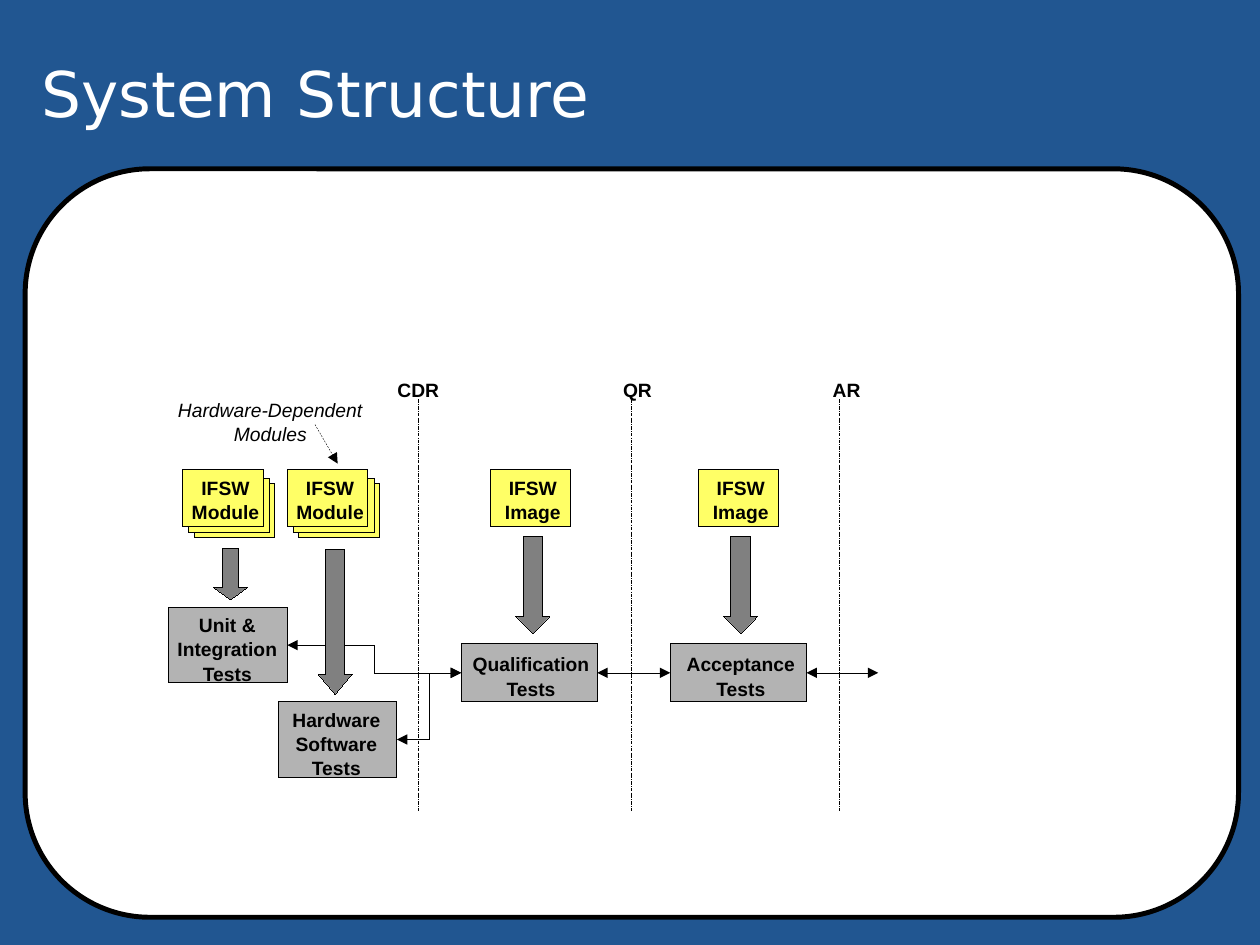
from lxml.etree import SubElement
from pptx import Presentation
from pptx.dml.color import RGBColor
from pptx.enum.dml import MSO_LINE_DASH_STYLE as Dash
from pptx.enum.shapes import MSO_CONNECTOR as Link, MSO_SHAPE as Shape
from pptx.enum.text import MSO_ANCHOR as Anchor, MSO_AUTO_SIZE as AutoSize, PP_ALIGN as Align
from pptx.oxml.ns import qn
from pptx.util import Inches, Pt

COLORS = {"back": "215691", "white": "FFFFFF", "black": "000000",
          "yellow": "FFFF66", "gray": "B3B3B3", "arrow": "808080"}
HAIRLINE = 0.01  # a width of 0 would fall back to the theme's line

# Content: positions and sizes in inches
TITLE = "System Structure"
CARD_TOP, CARD_WIDTH, CARD_HEIGHT = 3.73, 0.64, 0.45
STACK = [(0.09, 0.11, 0.43), (0.05, 0.07, 0.43)]  # right, down, height
CARDS = [  # text, left, stacked, label width
    ("IFSW\nModule", 1.45, True, 0.54),
    ("IFSW\nModule", 2.28, True, 0.54),
    ("IFSW\nImage", 3.89, False, 0.46),
    ("IFSW\nImage", 5.54, False, 0.46),
]
TESTS = {  # text, box, label left, top and width
    "unit": ("Unit &\nIntegration\nTests", (1.34, 4.82, 0.94, 0.6), (1.41, 4.86, 0.79)),
    "hardware": ("Hardware\nSoftware\nTests", (2.21, 5.57, 0.94, 0.6), (2.32, 5.61, 0.7)),
    "qualification": ("Qualification\nTests", (3.66, 5.11, 1.08, 0.46), (3.75, 5.17, 0.93)),
    "acceptance": ("Acceptance\nTests", (5.32, 5.11, 1.08, 0.46), (5.45, 5.17, 0.86)),
}
LINKS = [
    ("unit", "qualification", Link.ELBOW),
    ("hardware", "qualification", Link.ELBOW),
    ("qualification", "acceptance", Link.STRAIGHT),
    ("acceptance", None, Link.STRAIGHT),
]
BLOCK_ARROWS = [  # centre, top, length, shaft and head proportions
    (1.83, 4.35, 0.41, 0.479, 0.364),
    (2.66, 4.36, 1.15, 0.576, 0.592),
    (4.23, 4.26, 0.77, 0.582, 0.519),
    (5.88, 4.26, 0.77, 0.582, 0.519),
]
ARROW_WIDTH = 0.27
MILESTONES = [("CDR", 3.32, 3.13, 0.38), ("QR", 5.01, 4.9, 0.32), ("AR", 6.66, 6.56, 0.32)]
NOTE = ("Hardware-Dependent\nModules", 1.41, 3.15, 1.47)
LINE_HEIGHT = 0.18
LABEL_SLACK = 0.02  # spare room on each side, so no word breaks


def color(name):
    return RGBColor.from_string(COLORS[name])


def add_box(kind, left, top, width, height, fill, line_width=HAIRLINE):
    box = slide.shapes.add_shape(kind, *map(Inches, (left, top, width, height)))
    box.shadow.inherit = False
    box.fill.solid()
    box.fill.fore_color.rgb = color(fill)
    box.line.color.rgb = color("black")
    box.line.width = Pt(line_width)
    return box


def set_frame(frame, formats):
    margins = dict.fromkeys(("margin_left", "margin_top", "margin_right", "margin_bottom"), 0)
    for name, value in {**margins, **formats}.items():
        setattr(frame, name, value)


def set_font(font, fill, formats):
    font.color.rgb = color(fill)
    for name, value in formats.items():
        setattr(font, name, value)


def add_label(text, left, top, width, **style):
    lines = text.split("\n")
    place = (left - LABEL_SLACK, top, width + 2 * LABEL_SLACK, LINE_HEIGHT * len(lines))
    label = slide.shapes.add_textbox(*map(Inches, place))
    frame = label.text_frame
    set_frame(frame, {"word_wrap": False, "auto_size": AutoSize.SHAPE_TO_FIT_TEXT})
    for index, line in enumerate(lines):
        para = frame.paragraphs[0] if index == 0 else frame.add_paragraph()
        para.alignment = Align.CENTER
        para.line_spacing = 1.05
        span = para.add_run()
        span.text = line
        set_font(span.font, "black", {"name": "Arial", "size": Pt(11), **style})


def add_line(kind, start, end, heads=(), dash=None):
    connector = slide.shapes.add_connector(kind, *map(Inches, (*start, *end)))
    connector.line.color.rgb = color("black")
    connector.line.width = Pt(0.25 if dash else HAIRLINE)
    if dash:
        connector.line.dash_style = dash
    properties = connector._element.spPr
    for head in heads:
        SubElement(properties.find(qn("a:ln")), qn(f"a:{head}"), type="triangle")
    SubElement(properties, qn("a:effectLst"))
    return connector


deck = Presentation()
deck.slide_width, deck.slide_height = Inches(10), Inches(7.5)
slide = deck.slides.add_slide(deck.slide_layouts[5])
slide.background.fill.solid()
slide.background.fill.fore_color.rgb = color("back")

# Title
title = slide.shapes.title
title.left, title.top, title.width, title.height = map(Inches, (0.33, 0.11, 6.94, 1.25))
title.text_frame.text = TITLE
set_frame(title.text_frame, {"vertical_anchor": Anchor.MIDDLE, "word_wrap": True})
title_para = title.text_frame.paragraphs[0]
title_para.alignment = Align.LEFT
set_font(title_para.runs[0].font, "white", {"name": "DejaVu Sans", "size": Pt(36)})

# White panel
add_box(Shape.ROUNDED_RECTANGLE, 0.2, 1.34, 9.63, 5.94, "white", 2.83)

# Software modules and images
for text, left, stacked, label_width in CARDS:
    for right, down, height in STACK if stacked else []:
        add_box(Shape.RECTANGLE, left + right, CARD_TOP + down, CARD_WIDTH, height, "yellow")
    add_box(Shape.RECTANGLE, left, CARD_TOP, CARD_WIDTH, CARD_HEIGHT, "yellow")
    label_left = left + (CARD_WIDTH - label_width) / 2 + 0.02
    add_label(text, label_left, CARD_TOP + 0.04, label_width, bold=True)

# Test stages
stages = {}
for name, (text, place, label_place) in TESTS.items():
    stages[name] = add_box(Shape.RECTANGLE, *place, "gray")
    add_label(text, *label_place, bold=True)

# Links between stages
for source, target, kind in LINKS:
    link = add_line(kind, (6.4, 5.34), (6.97, 5.34), ("headEnd", "tailEnd"))
    link.begin_connect(stages[source], 3)
    if target:
        link.end_connect(stages[target], 1)

# Block arrows, turned to point down
for center, top, length, *proportions in BLOCK_ARROWS:
    arrow = add_box(Shape.RIGHT_ARROW, center - length / 2, top + (length - ARROW_WIDTH) / 2,
                    length, ARROW_WIDTH, "arrow")
    arrow.rotation = 90
    for index, proportion in enumerate(proportions):
        arrow.adjustments[index] = proportion

# Milestones
for text, x, label_left, label_width in MILESTONES:
    add_line(Link.STRAIGHT, (x, 3.17), (x, 6.44), dash=Dash.LONG_DASH_DOT)
    add_label(text, label_left, 2.99, label_width, bold=True)

# Note on the hardware-dependent modules
add_label(*NOTE, italic=True)
add_line(Link.STRAIGHT, (2.5, 3.37), (2.68, 3.68), ("tailEnd",), Dash.DASH)

deck.save("out.pptx")
